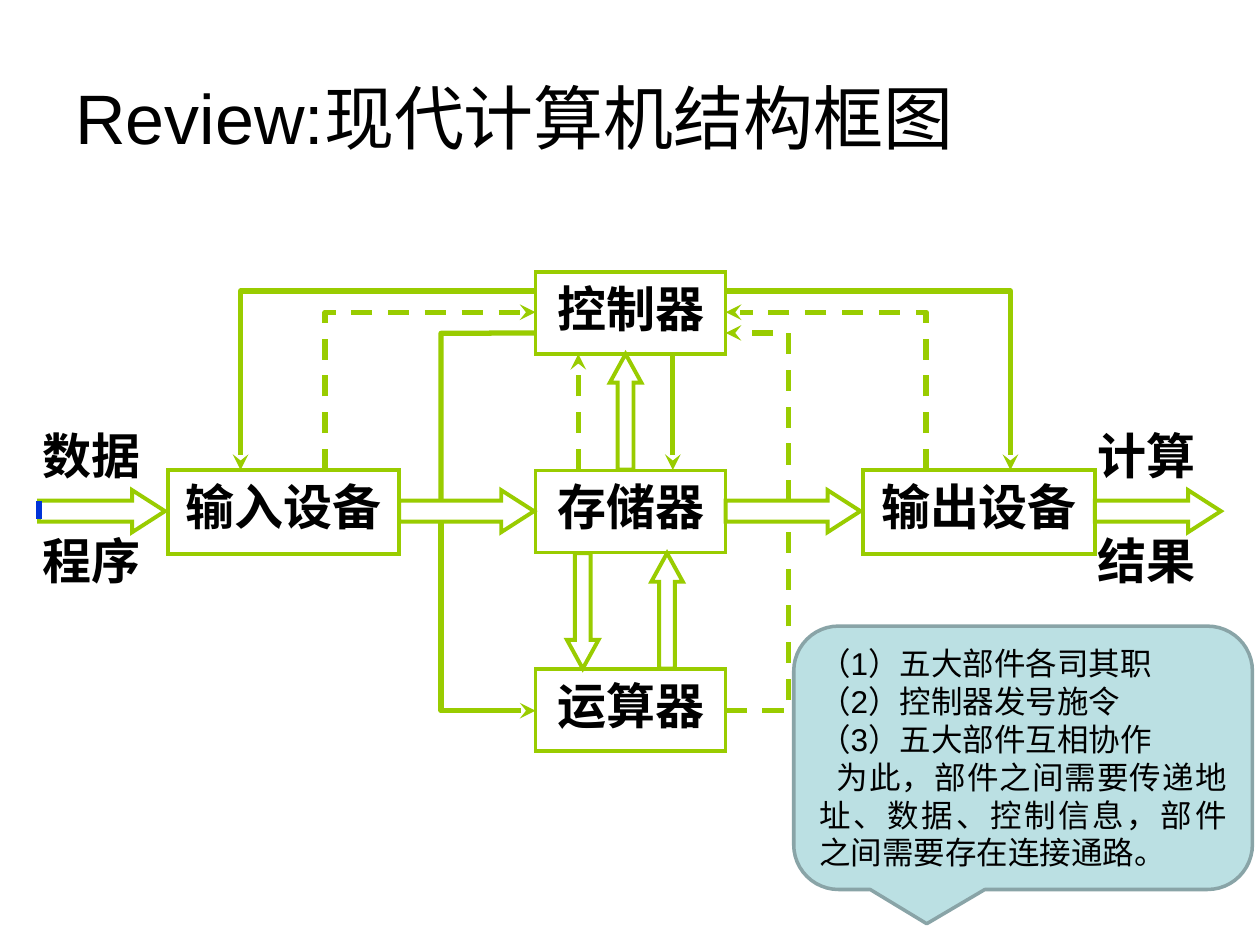
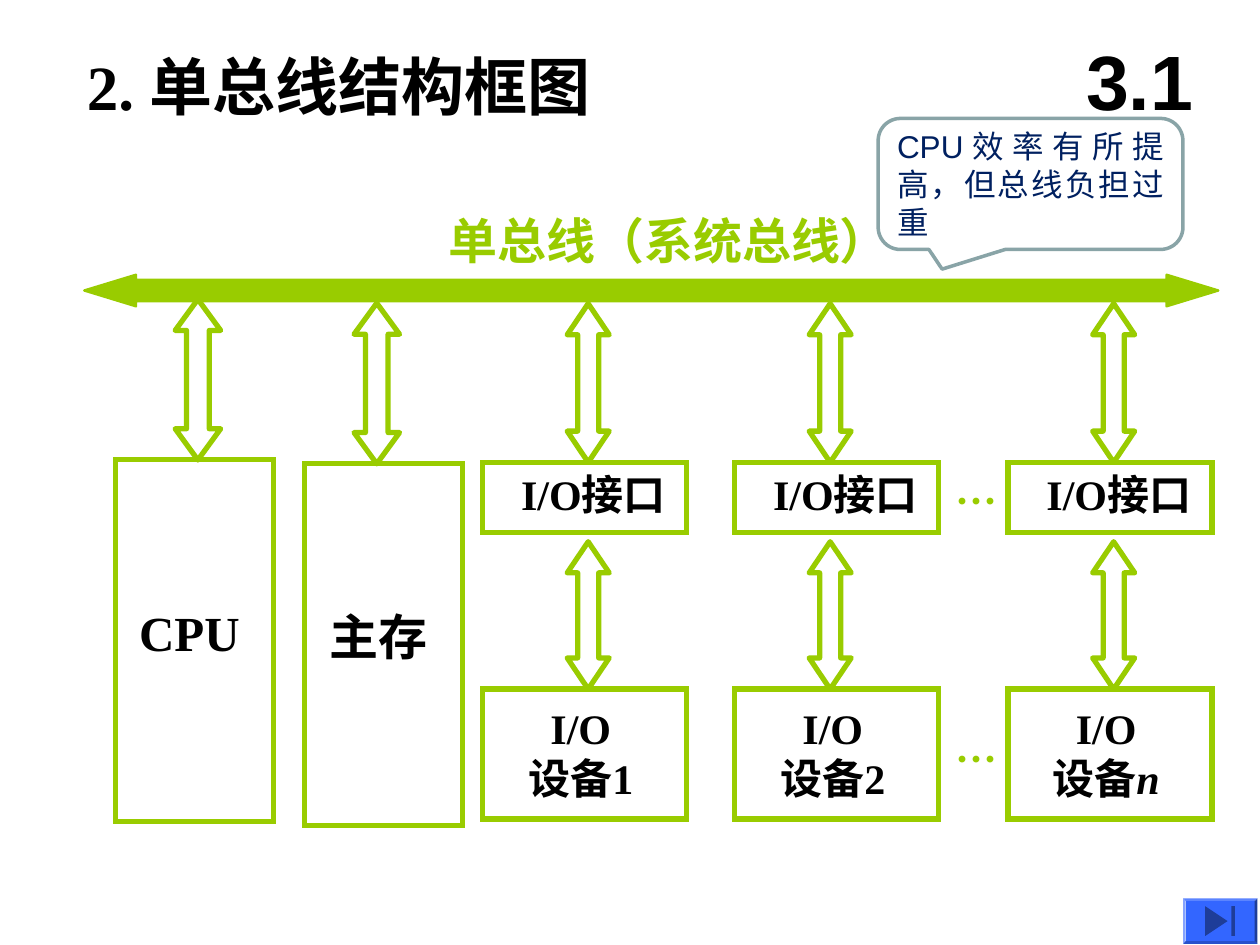
from lxml.etree import SubElement
from pptx import Presentation
from pptx.dml.color import RGBColor
from pptx.enum.dml import MSO_LINE_DASH_STYLE as Dash
from pptx.enum.shapes import MSO_CONNECTOR as Connector, MSO_SHAPE as Preset
from pptx.enum.text import MSO_ANCHOR as Anchor, MSO_AUTO_SIZE as AutoSize, PP_ALIGN as Align
from pptx.oxml.ns import qn
from pptx.util import Pt

COLORS = {
    "ink": "000000", "green": "99CC00", "stub": "0033D8", "white": "FFFFFF",
    "bubble": "BBE0E3", "bubble_edge": "89A4A7", "navy": "002060", "button": "3366FF",
}
CJK, SANS, SERIF = "Noto Sans CJK SC", "Arial", "Times New Roman"

TITLE = {"name": SANS, "size": Pt(40)}
LABEL = {"name": CJK, "size": Pt(28), "bold": True}
HEADING = {"name": SERIF, "size": Pt(36), "bold": True}
SECTION = {"name": SANS, "size": Pt(44), "bold": True}
UNIT = {"name": SERIF, "size": Pt(28), "bold": True}
PART = {"name": SERIF, "size": Pt(24), "bold": True}
DOTS = {"name": CJK, "size": Pt(24), "bold": True}
NOTE = {"name": SANS, "size": Pt(18)}

CORE_UNITS = ["控制器", "存储器", "运算器"]
CORE_LEFT, CORE_TOP, CORE_STEP, CORE_SIZE = 306, 155.5, 113.4, (108.7, 46.8)
DEVICES = [("输入设备", 95.8), ("输出设备", 493.2)]
DEVICE_TOP, DEVICE_SIZE = 268.6, (132.5, 48.2)
SIDE_LABELS = [("数据", 17.3, 239.8), ("程序", 17.3, 299.5),
               ("计算", 619.9, 239.8), ("结果", 619.9, 299.5)]
DATA_ARROWS = [(22.3, 72), (228.2, 77), (414.7, 77), (625.7, 72)]
MEMORY_ARROWS = [(Preset.UP_ARROW, 348.5, 202.3), (Preset.UP_ARROW, 372.2, 316.1),
                 (Preset.DOWN_ARROW, 324, 316.1)]
CONTROL_PATHS = [
    ([(252, 286.5), (252, 190.5), (306.5, 190.3)], False, False),
    ([(252, 298), (252, 406.1), (306, 406.1)], False, True),
    ([(414.7, 406.1), (450.7, 406.1), (450.7, 298)], True, False),
    ([(450.7, 286.5), (450.7, 190.3), (414.7, 190.3)], True, True),
    ([(185.8, 268.6), (185.8, 178.4), (306, 178.4)], True, True),
    ([(306, 166.3), (137.5, 166.3), (137.5, 268.6)], False, True),
    ([(529.2, 268.6), (529.2, 178.4), (414.7, 178.4)], True, True),
    ([(414.7, 166.3), (577.4, 166.3), (577.4, 268.6)], False, True),
]
CONTROL_LINES = [((330.5, 268.6), (330.5, 202.3), True),
                 ((384.5, 202.3), (384.5, 268.6), False)]
REVIEW_NOTES = ["（1）五大部件各司其职", "（2）控制器发号施令", "（3）五大部件互相协作",
                "为此，部件之间需要传递地址、数据、控制信息，部件之间需要存在连接通路。"]

BUS_UNITS = [("CPU", 66.2, 262.8, 113.1), ("主存", 174.2, 265, 215.3)]
IO_COLUMNS = [(275.8, 336.1, "1", False), (419.8, 474.4, "2", False), (576, 636.4, "n", True)]
IO_WIDTH, PORT_TOP, PORT_HEIGHT, GEAR_TOP, GEAR_HEIGHT = 116.6, 264.2, 40.3, 393.8, 74.2


def rgb(name):
    return RGBColor.from_string(COLORS[name])


def style_line(line_shape, color, width, dash=False, arrow=False, miter=False):
    line = line_shape.line
    line.color.rgb = rgb(color)
    line.width = Pt(width)
    if dash:
        line.dash_style = Dash.DASH
    ln = line_shape._element.spPr.find(qn("a:ln"))
    if miter:
        SubElement(ln, qn("a:miter"), lim="800000")
    if arrow:
        SubElement(ln, qn("a:tailEnd"), type="stealth")


def paint(shape, fill=None, line="green", width=2.25, **options):
    shape.shadow.inherit = False
    if fill:
        shape.fill.solid()
        shape.fill.fore_color.rgb = rgb(fill)
    else:
        shape.fill.background()
    if line:
        style_line(shape, line, width, **options)
    else:
        shape.line.fill.background()
    return shape


def add_preset(slide, preset, box, adjustments=(), **options):
    shape = slide.shapes.add_shape(preset, *map(Pt, box))
    for index, value in enumerate(adjustments):
        shape.adjustments[index] = value
    return paint(shape, **options)


def add_path(slide, points, dash=False, arrow=False, close=False):
    start, *rest = [(Pt(x), Pt(y)) for x, y in points]
    builder = slide.shapes.build_freeform(*start)
    builder.add_line_segments(rest, close=close)
    paint(builder.convert_to_shape(), width=3, dash=dash, arrow=arrow)


def add_line(slide, start, end, color="green", dash=False, arrow=False):
    connector = slide.shapes.add_connector(Connector.STRAIGHT, *map(Pt, start + end))
    style_line(connector, color, 3, dash, arrow)
    SubElement(connector._element.spPr, qn("a:effectLst"))


def add_link(slide, center, top, bottom, width, head=17.8):
    right = [(0, top), (width / 2, top + head), (width / 4, top + head),
             (width / 4, bottom - head), (width / 2, bottom - head), (0, bottom)]
    left = [(-x, y) for x, y in right[-2:0:-1]]
    add_path(slide, [(center + x, y) for x, y in right + left], close=True)


def write(shape, paragraphs, style, color="ink", align=Align.CENTER, anchor=Anchor.TOP,
          margins=(7.2, 3.6, 7.2, 3.6), wrap=True):
    frame = shape.text_frame
    frame.word_wrap = wrap
    if not wrap:
        frame.auto_size = AutoSize.SHAPE_TO_FIT_TEXT
    frame.vertical_anchor = anchor
    for side, margin in zip(("left", "top", "right", "bottom"), margins):
        setattr(frame, f"margin_{side}", Pt(margin))
    for index, runs in enumerate(paragraphs):
        paragraph = frame.add_paragraph() if index else frame.paragraphs[0]
        paragraph.alignment = align
        paragraph._p.get_or_add_pPr().set("hangingPunct", "0")
        for text, italic in [(runs, False)] if isinstance(runs, str) else runs:
            run = paragraph.add_run()
            run.text = text
            for name, value in style.items():
                setattr(run.font, name, value)
            run.font.color.rgb = rgb(color)
            if italic:
                run.font.italic = True
            SubElement(run._r.get_or_add_rPr(), qn("a:ea"), typeface=CJK)


def add_text(slide, box, text, style, **options):
    write(slide.shapes.add_textbox(*map(Pt, box)), [text], style, **options)


def add_box(slide, box, paragraphs, style, width, **options):
    shape = add_preset(slide, Preset.RECTANGLE, box, width=width, miter=True)
    write(shape, paragraphs, style, **options)


def add_bubble(slide, box, pointer, fill, paragraphs, color):
    bubble = add_preset(slide, Preset.ROUNDED_RECTANGULAR_CALLOUT, box, pointer + (0.17,),
                        fill=fill, line="bubble_edge", width=2)
    write(bubble, paragraphs, NOTE, color, Align.JUSTIFY, Anchor.MIDDLE)
    return bubble


def build_review(slide):
    add_text(slide, (36, 21.6, 648, 90), "Review:现代计算机结构框图", TITLE,
             align=Align.LEFT, anchor=Anchor.MIDDLE)
    for row, name in enumerate(CORE_UNITS):
        add_box(slide, (CORE_LEFT, CORE_TOP + row * CORE_STEP) + CORE_SIZE, [name], LABEL, 2)
    for name, left in DEVICES:
        add_box(slide, (left, DEVICE_TOP) + DEVICE_SIZE, [name], LABEL, 2.25)
    for left, width in DATA_ARROWS:
        add_preset(slide, Preset.RIGHT_ARROW, (left, 280.1, width, 24), (0.5, 0.78), miter=True)
    for preset, left, top in MEMORY_ARROWS:
        add_preset(slide, preset, (left, top, 18, 66), (0.5, 0.91), miter=True)
    for path in CONTROL_PATHS:
        add_path(slide, *path)
    for start, end, dash in CONTROL_LINES:
        add_line(slide, start, end, dash=dash, arrow=True)
    for text, left, top in SIDE_LABELS:
        add_text(slide, (left, top, 72, 41), text, LABEL, align=Align.LEFT, wrap=False)
    add_line(slide, (22.3, 286.5), (22.3, 296.6), "stub")
    bubble = add_bubble(slide, (453.6, 357.8, 262.1, 150.5), (-0.21, 0.63), "bubble",
                        REVIEW_NOTES, "ink")
    summary = bubble.text_frame.paragraphs[-1]
    summary._p.get_or_add_pPr().set("indent", str(Pt(10)))


def build_single_bus(slide):
    flush = (0, 0, 0, 0)
    add_text(slide, (256.3, 120.2, 254, 33.8), "单总线（系统总线）", LABEL, color="green",
             align=Align.LEFT, margins=flush, wrap=False)
    add_preset(slide, Preset.LEFT_RIGHT_ARROW, (48.2, 157, 648, 18), (0.68, 1.64),
               fill="green", width=1.4)
    add_text(slide, (42.5, 23.8, 311, 50.4), "2. 单总线结构框图", HEADING,
             align=Align.LEFT, wrap=False)
    for name, left, top, center in BUS_UNITS:
        add_box(slide, (left, top, 90, 206.6), [name], UNIT, 3, anchor=Anchor.MIDDLE,
                margins=(7.2, 3.6, 13, 13))
        add_link(slide, center, top - 91.8, top, 26)
    for left, center, number, italic in IO_COLUMNS:
        add_box(slide, (left, PORT_TOP, IO_WIDTH, PORT_HEIGHT), ["I/O接口"], PART, 3,
                margins=(16, 3.6, 6, 3.6))
        add_box(slide, (left, GEAR_TOP, IO_WIDTH, GEAR_HEIGHT),
                ["I/O", [("设备", False), (number, italic)]], PART, 3,
                margins=(7.2, 7.5, 11.5, 3.6))
        add_link(slide, center, 173.5, PORT_TOP, 24)
        add_link(slide, center, 309.6, GEAR_TOP, 24)
    for top in (271.8, 419.4):
        add_text(slide, (545.8, top, 30.2, 28.8), "…", DOTS, color="green",
                 align=Align.LEFT, margins=flush)
    add_text(slide, (606.2, 12.2, 90, 66.2), "3.1", SECTION, anchor=Anchor.MIDDLE)
    add_preset(slide, Preset.BEVEL, (676, 513.4, 42.5, 25.9), (0.06,), fill="button", line=None)
    add_preset(slide, Preset.ACTION_BUTTON_END, (678, 515, 38.5, 22.7),
               fill="button", line=None)
    add_bubble(slide, (501.8, 67.7, 174.2, 74.9), (-0.29, 0.65), "white",
               ["CPU效率有所提高，但总线负担过重"], "navy")


def main():
    presentation = Presentation()
    presentation.slide_width, presentation.slide_height = Pt(720), Pt(540)
    for build in (build_review, build_single_bus):
        build(presentation.slides.add_slide(presentation.slide_layouts[6]))
    presentation.save("out.pptx")


if __name__ == "__main__":
    main()
